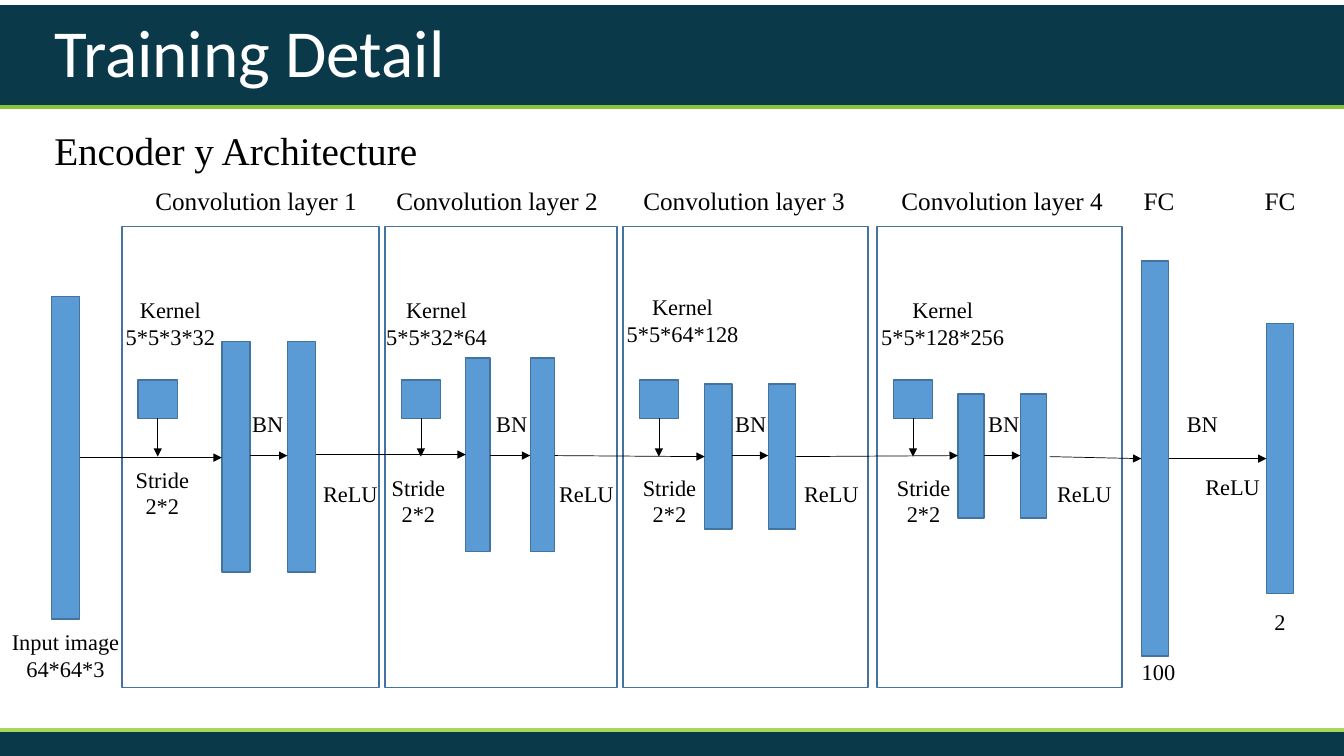
from pptx import Presentation
from pptx.dml.color import RGBColor
from pptx.enum.shapes import MSO_CONNECTOR as CONN, MSO_SHAPE as SHAPE
from pptx.enum.text import MSO_ANCHOR as ANCHOR, MSO_AUTO_SIZE as AUTO, PP_ALIGN as ALIGN
from pptx.oxml.ns import qn
from pptx.util import Inches, Pt
from lxml.etree import SubElement

COLS, ROWS = 133.3, 75


def color(fmt, value):
    """Apply a hex colour to a colour format."""
    fmt.rgb = RGBColor.from_string(value)


class Diagram:
    """Hold the style and the current slide; lengths are grid columns and rows."""

    font, heading_font = "Times New Roman", "Calibri"
    ink, navy, blue, edge = "000000", "0A3A4A", "5B9BD5", "43739E"

    def __init__(self, prs):
        self.s = prs.slides.add_slide(prs.slide_layouts[5])
        self.col, self.row = prs.slide_width / COLS, prs.slide_height / ROWS

    def place(self, x, y, w, h):
        """Turn grid units into slide lengths."""
        return round(x * self.col), round(y * self.row), round(w * self.col), round(h * self.row)

    def box(self, x, y, w, h, fill=None, line=None):
        """Add a rectangle with an optional fill and outline."""
        sp = self.s.shapes.add_shape(SHAPE.RECTANGLE, *self.place(x, y, w, h))
        sp.shadow.inherit = False
        if fill:
            sp.fill.solid()
            color(sp.fill.fore_color, fill)
        else:
            sp.fill.background()
        if line:
            color(sp.line.color, line)
            sp.line.width = Pt(1)
        else:
            sp.line.fill.background()

    def bar(self, x, middle, w, h):
        """Add a blue block centred on a row."""
        self.box(x, middle - h / 2, w, h, self.blue, self.edge)

    def line(self, x1, y1, x2, y2, value=ink, width=0.5, arrow=True):
        """Add a straight line, with an arrowhead unless told otherwise."""
        sp = self.s.shapes.add_connector(CONN.STRAIGHT, *self.place(x1, y1, x2, y2))
        color(sp.line.color, value)
        sp.line.width = Pt(width)
        if arrow:
            SubElement(sp._element.spPr.find(qn("a:ln")), qn("a:tailEnd"), type="triangle")
        SubElement(sp._element.spPr, qn("a:effectLst"))

    def format_text(self, sp, text, size, font, value, align):
        """Set and format the text of a shape."""
        tf = sp.text_frame
        tf.text = text
        tf.auto_size = AUTO.NONE
        for p in tf.paragraphs:
            p.alignment = align
            for r in p.runs:
                r.font.size, r.font.name = Pt(size), font
                color(r.font.color, value)
        return tf

    def label(self, text, x, y, w, size=16, align=ALIGN.CENTER):
        """Add an unwrapped label, one paragraph per line."""
        h = 1 + size / 6 * (text.count("\n") + 1)
        sp = self.s.shapes.add_textbox(*self.place(x, y, w, h))
        self.format_text(sp, text, size, self.font, self.ink, align).word_wrap = False

    def title(self, text, x, y, w, h):
        """Move the title placeholder to the front and format it."""
        sp = self.s.shapes.title
        sp.left, sp.top, sp.width, sp.height = self.place(x, y, w, h)
        tf = self.format_text(sp, text, 48, self.heading_font, "FFFFFF", ALIGN.LEFT)
        tf.vertical_anchor = ANCHOR.MIDDLE
        self.s.shapes._spTree.append(sp._element)

    def layer(self, number, frame, width, bars, size, middle, kernel, labels):
        """Draw one convolution layer inside its frame."""
        (first, second), (w, h) = bars, size
        name_x, kernel_x, kernel_y, stride_x, stride_y, relu_x = labels
        self.box(frame, 22.5, width, 45.7, line=self.edge)
        self.label(f"Convolution layer {number}", name_x, 17.9, 22.2, 18)
        self.label(f"Kernel\n{kernel}", kernel_x, kernel_y, 3 + len(kernel))
        self.box(frame + 1.6, 37.7, 3.9, 3.8, self.blue, self.edge)
        self.line(frame + 3.55, 41.5, frame + 3.55, 45.3)
        self.label("Stride\n2*2", stride_x, stride_y, 7.4)
        for x in bars:
            self.bar(x, middle, w, h)
        self.line(first + w, 45.2, second, 45.2)
        self.label("BN", first + 2, 40.2, 5.1)
        self.label("ReLU", relu_x, 47.15, 7.5)


LAYERS = [
    (12.1, 25.5, (22, 28.5), (2.8, 22.9), 45.3, "5*5*3*32", (14.3, 11.4, 28.9, 12.4, 45.7, 31)),
    (38.2, 23, (46.2, 52.6), (2.4, 19.2), 45.1, "5*5*32*64", (38.2, 37.3, 28.9, 37.8, 46.5, 54.4)),
    (61.8, 24.3, (69.9, 76.2), (2.7, 14.4), 45.3, "5*5*64*128", (62.7, 61.2, 28.6, 62.7, 46.5, 78.7)),
    (87, 24.3, (95, 101.2), (2.6, 12.3), 45.25, "5*5*128*256", (88.3, 86.5, 28.9, 87.9, 46.5, 103.8)),
]
FLOW = [(7.9, 45.4, 22, 45.4), (31.3, 45.1, 46.2, 45.1), (55, 45.2, 69.9, 45.3),
        (78.9, 45.3, 95, 45.2), (104.1, 45.3, 113.2, 45.5), (115.9, 45.5, 125.6, 45.5)]
ENDS = [(5.1, 45.4, 2.8, 32), (113.2, 45.5, 2.7, 39.2), (125.6, 45.5, 2.7, 26.8)]
LABELS = [("Input image\n64*64*3", 0.1, 61.8, 12.8), ("100", 112.2, 64.8, 5.4),
          ("2", 125.4, 59.8, 3.1), ("BN", 116.7, 40.2, 5.1), ("ReLU", 118.5, 46.4, 7.5),
          ("FC", 112.4, 17.9, 5.1, 18), ("FC", 124.4, 17.9, 5.1, 18)]

prs = Presentation()
prs.slide_width, prs.slide_height = Inches(13.33), Inches(7.5)
d = Diagram(prs)
d.box(0, 0.5, COLS, 10, d.navy)
d.box(0, 72.6, COLS, 2.4, d.navy)
for y, green in ((10.6, "88C33A"), (72.4, "A7D75B")):
    d.line(0, y, COLS, y, green, 2.5, arrow=False)
d.title("Training Detail", 4.4, 0.5, 82.7, 9.1)
d.label("Encoder y Architecture", 4.4, 12, 38.4, 28, ALIGN.LEFT)
for number, layer in enumerate(LAYERS, 1):
    d.layer(number, *layer)
for end in ENDS:
    d.bar(*end)
for arrow in FLOW:
    d.line(*arrow)
for label in LABELS:
    d.label(*label)
prs.save("out.pptx")
